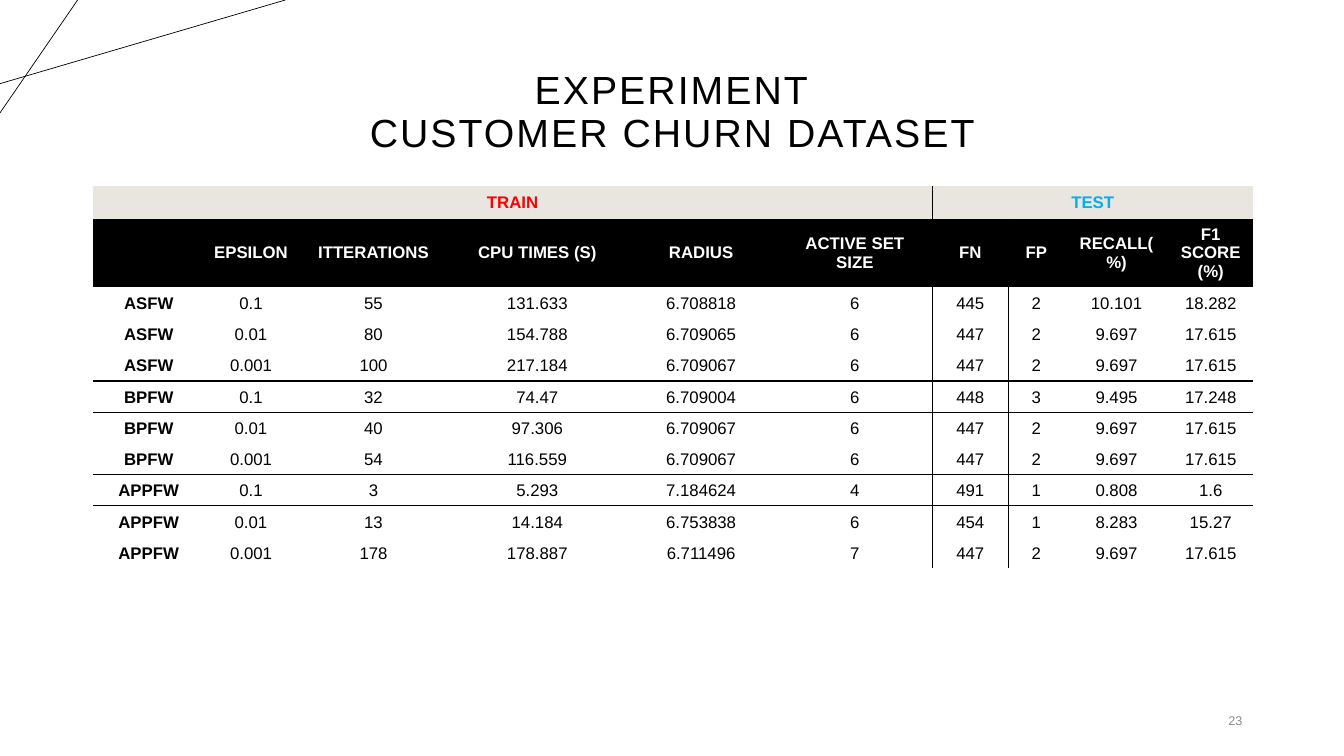
import pptx
import pptx.util
import pptx.dml.color
import pptx.enum.text
import pptx.enum.shapes
import pptx.oxml.ns
import lxml.etree
from dataclasses import dataclass

SCALE = 9144  # EMU per px, 100 px to the inch


@dataclass(frozen=True)
class Theme:
    face: str = "Arial"
    ink: str = "000000"
    paper: str = "FFFFFF"
    band: str = "E9E6DF"
    train: str = "FF0000"
    test: str = "00B0F0"
    muted: str = "8C8C8C"
    title: int = 28
    body: int = 12
    small: int = 9


THEME = Theme()
ALIGN = pptx.enum.text.PP_ALIGN
MIDDLE = pptx.enum.text.MSO_ANCHOR.MIDDLE
PLAIN = "{2D5ABB26-0587-4C30-8999-92F81FD0307C}"  # table style without grid

WIDTHS = [111, 92, 151, 174, 151, 154, 75, 56, 103, 84]
HEIGHTS = [32, 33] + [31] * 9
SPLIT = 6  # first column of the test part
GROUP = 3  # rows for each method
HEADS = ["", "EPSILON", "ITTERATIONS", "CPU TIMES (S)", "RADIUS",
         "ACTIVE SET SIZE", "FN", "FP", "RECALL(%)", "F1 SCORE (%)"]
METHODS = ["ASFW", "BPFW", "APPFW"]
LEVELS = ["0.1", "0.01", "0.001"]
RESULTS = [
    "55 131.633 6.708818 6 445 2 10.101 18.282",
    "80 154.788 6.709065 6 447 2 9.697 17.615",
    "100 217.184 6.709067 6 447 2 9.697 17.615",
    "32 74.47 6.709004 6 448 3 9.495 17.248",
    "40 97.306 6.709067 6 447 2 9.697 17.615",
    "54 116.559 6.709067 6 447 2 9.697 17.615",
    "3 5.293 7.184624 4 491 1 0.808 1.6",
    "13 14.184 6.753838 6 454 1 8.283 15.27",
    "178 178.887 6.711496 7 447 2 9.697 17.615",
]


def px(count):
    return pptx.util.Emu(count * SCALE)


def rgb(code):
    return pptx.dml.color.RGBColor.from_string(code)


def style(para, size, color, bold=False, align=ALIGN.CENTER):
    para.alignment = align
    font = para.font
    font.name = THEME.face
    font.size = pptx.util.Pt(size)
    font.bold = bold
    font.color.rgb = rgb(color)


def add_text(slide, box, text, size, color, align):
    frame = slide.shapes.add_textbox(*map(px, box)).text_frame
    frame.word_wrap = True
    frame.vertical_anchor = MIDDLE
    para = frame.paragraphs[0]
    para.text = text
    style(para, size, color, align=align)
    return para


def add_line(slide, *ends):
    kind = pptx.enum.shapes.MSO_CONNECTOR.STRAIGHT
    line = slide.shapes.add_connector(kind, *map(px, ends))
    line.line.color.rgb = rgb(THEME.ink)
    line.line.width = pptx.util.Pt(0.5)
    props = line._element.spPr
    lxml.etree.SubElement(props, pptx.oxml.ns.qn("a:effectLst"))


def add_edge(cell, side):
    qn = pptx.oxml.ns.qn
    props = cell._tc.get_or_add_tcPr()
    edge = lxml.etree.SubElement(props, qn("a:ln" + side), w="12700")
    fill = lxml.etree.SubElement(edge, qn("a:solidFill"))
    lxml.etree.SubElement(fill, qn("a:srgbClr"), val=THEME.ink)


def fill_cell(cell, text, color, bold, back=None, edges=""):
    for side in edges:
        add_edge(cell, side)
    if back:
        cell.fill.solid()
        cell.fill.fore_color.rgb = rgb(back)
    else:
        cell.fill.background()
    cell.vertical_anchor = MIDDLE
    cell.margin_left = cell.margin_right = px(8 if back else 7)
    cell.margin_top = cell.margin_bottom = px(4 if back else 0)
    para = cell.text_frame.paragraphs[0]
    para.text = text
    style(para, THEME.body, color, bold)
    if not back:
        para.line_spacing = 1.07
        para.space_after = pptx.util.Pt(4)


def side_edges(col):
    return {SPLIT - 1: "R", SPLIT: "L"}.get(col, "")


def row_edges(row):
    # A rule lies between two methods, never above the first or below the last
    if row % GROUP == 0 and row > 0:
        return "T"
    if row % GROUP == GROUP - 1 and row < len(RESULTS) - 1:
        return "B"
    return ""


def add_results(slide):
    frame = slide.shapes.add_table(len(HEIGHTS), len(WIDTHS),
                                   px(92), px(185), px(1150), px(381))
    table = frame.table
    table.first_row = table.horz_banding = False
    table._tbl.tblPr.find(pptx.oxml.ns.qn("a:tableStyleId")).text = PLAIN
    for col, width in zip(table.columns, WIDTHS):
        col.width = px(width)
    for row, height in zip(table.rows, HEIGHTS):
        row.height = px(height)
    frame.height = px(381)

    # Part names
    last = len(WIDTHS) - 1
    parts = [(0, SPLIT - 1, "TRAIN", THEME.train, "R"),
             (SPLIT, last, "TEST", THEME.test, "L")]
    for start, end, name, color, edge in parts:
        cell = table.cell(0, start)
        cell.merge(table.cell(0, end))
        fill_cell(cell, name, color, True, THEME.band, edge)

    # Column heads
    for col, head in enumerate(HEADS):
        fill_cell(table.cell(1, col), head, THEME.paper, True,
                  THEME.ink, side_edges(col))

    # Measured values
    for row, result in enumerate(RESULTS):
        method, level = METHODS[row // GROUP], LEVELS[row % GROUP]
        for col, text in enumerate([method, level] + result.split()):
            fill_cell(table.cell(row + 2, col), text, THEME.ink, col == 0,
                      edges=side_edges(col) + row_edges(row))


def main():
    deck = pptx.Presentation()
    deck.slide_width, deck.slide_height = px(1333), px(750)
    slide = deck.slides.add_slide(deck.slide_layouts[6])

    # Corner lines
    add_line(slide, 0, 83, 283, 0)
    add_line(slide, 77, 0, 0, 112)

    # Title and page number
    title = add_text(slide, (92, 40, 1150, 145),
                     "EXPERIMENT\vCUSTOMER CHURN DATASET",
                     THEME.title, THEME.ink, ALIGN.CENTER)
    title.line_spacing = 0.9
    title.font._element.set("spc", "150")
    add_text(slide, (942, 695, 300, 40), "23",
             THEME.small, THEME.muted, ALIGN.RIGHT)

    add_results(slide)
    deck.save("out.pptx")


if __name__ == "__main__":
    main()
